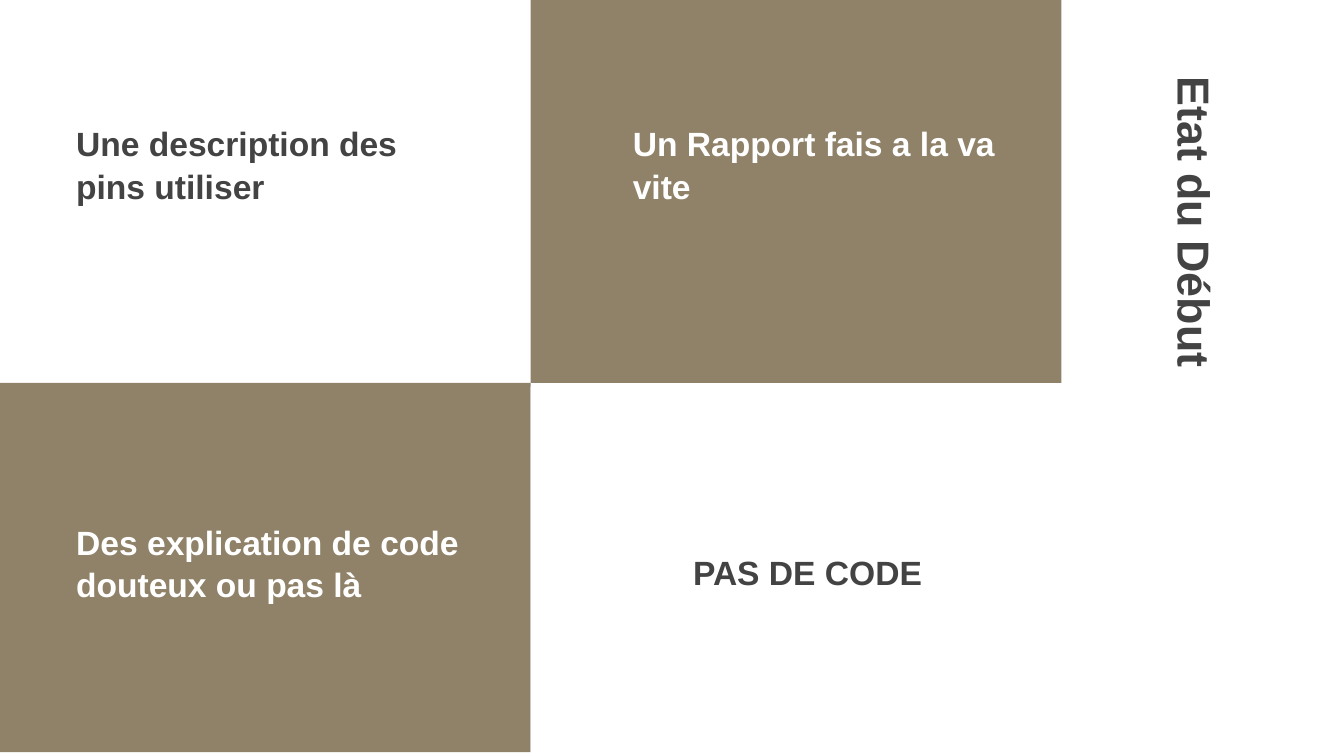
from pptx import Presentation
from pptx.dml.color import RGBColor
from pptx.enum.shapes import MSO_SHAPE as Shape
from pptx.enum.text import MSO_ANCHOR as Anchor, MSO_AUTO_SIZE as AutoSize, PP_ALIGN as Align
from pptx.util import Cm, Pt

BROWN, WHITE, GREY = "908269", "FFFFFF", "434343"
TILE_WIDTH = 10.03
PANELS = [
    (TILE_WIDTH, -0.08, 7.32, BROWN),
    (0, 7.24, 6.98, BROWN),
    (TILE_WIDTH, 7.32, 6.98, WHITE),
]
LABEL_HEIGHT = 1.8
LABELS = [
    ("Un Rapport fais a la va vite", 11.71, 2.34, 7.49, WHITE),
    ("Des explication de code \vdouteux ou pas là", 1.19, 9.88, 7.98, WHITE),
    ("Une description des pins utiliser", 1.19, 2.34, 7.98, GREY),
    ("PAS DE CODE", 12.85, 9.65, 7.19, GREY),
]


def color(hex_code):
    """Turn a hex string into a colour."""
    return RGBColor.from_string(hex_code)


def write(holder, text, size, ink, anchor):
    """Write bold Arial text into a shape."""
    frame = holder.text_frame
    frame.word_wrap = True
    frame.auto_size = AutoSize.NONE
    frame.vertical_anchor = anchor
    frame.margin_left = frame.margin_right = Cm(0.25)
    frame.margin_top = frame.margin_bottom = Cm(0.25)
    frame.text = text
    line = frame.paragraphs[0]
    line.alignment = Align.LEFT
    line.line_spacing = 1.05
    line.font.name = "Arial"
    line.font.size = Pt(size)
    line.font.bold = True
    line.font.color.rgb = color(ink)


def add_title(slide, text):
    """Fill the title placeholder and turn it to run down the right edge."""
    title = slide.shapes.title
    title.left, title.top = Cm(18.57), Cm(4.57)
    title.width, title.height = Cm(8.1), Cm(1.35)
    title.rotation = 90
    write(title, text, 24, GREY, Anchor.MIDDLE)


def add_panel(slide, left, top, height, fill):
    """Add one plain tile of the checkerboard."""
    panel = slide.shapes.add_shape(
        Shape.RECTANGLE, Cm(left), Cm(top), Cm(TILE_WIDTH), Cm(height))
    panel.shadow.inherit = False
    panel.fill.solid()
    panel.fill.fore_color.rgb = color(fill)
    panel.line.fill.background()


def add_label(slide, text, left, top, width, ink):
    """Add the statement that sits on a tile."""
    label = slide.shapes.add_textbox(Cm(left), Cm(top), Cm(width), Cm(LABEL_HEIGHT))
    write(label, text, 18, ink, Anchor.BOTTOM)


def main():
    """Build the slide and save it."""
    deck = Presentation()
    deck.slide_width, deck.slide_height = Cm(25.4), Cm(14.29)
    slide = deck.slides.add_slide(deck.slide_layouts[5])
    add_title(slide, "Etat du Début")
    for panel in PANELS:
        add_panel(slide, *panel)
    for label in LABELS:
        add_label(slide, *label)
    deck.save("out.pptx")


if __name__ == "__main__":
    main()
